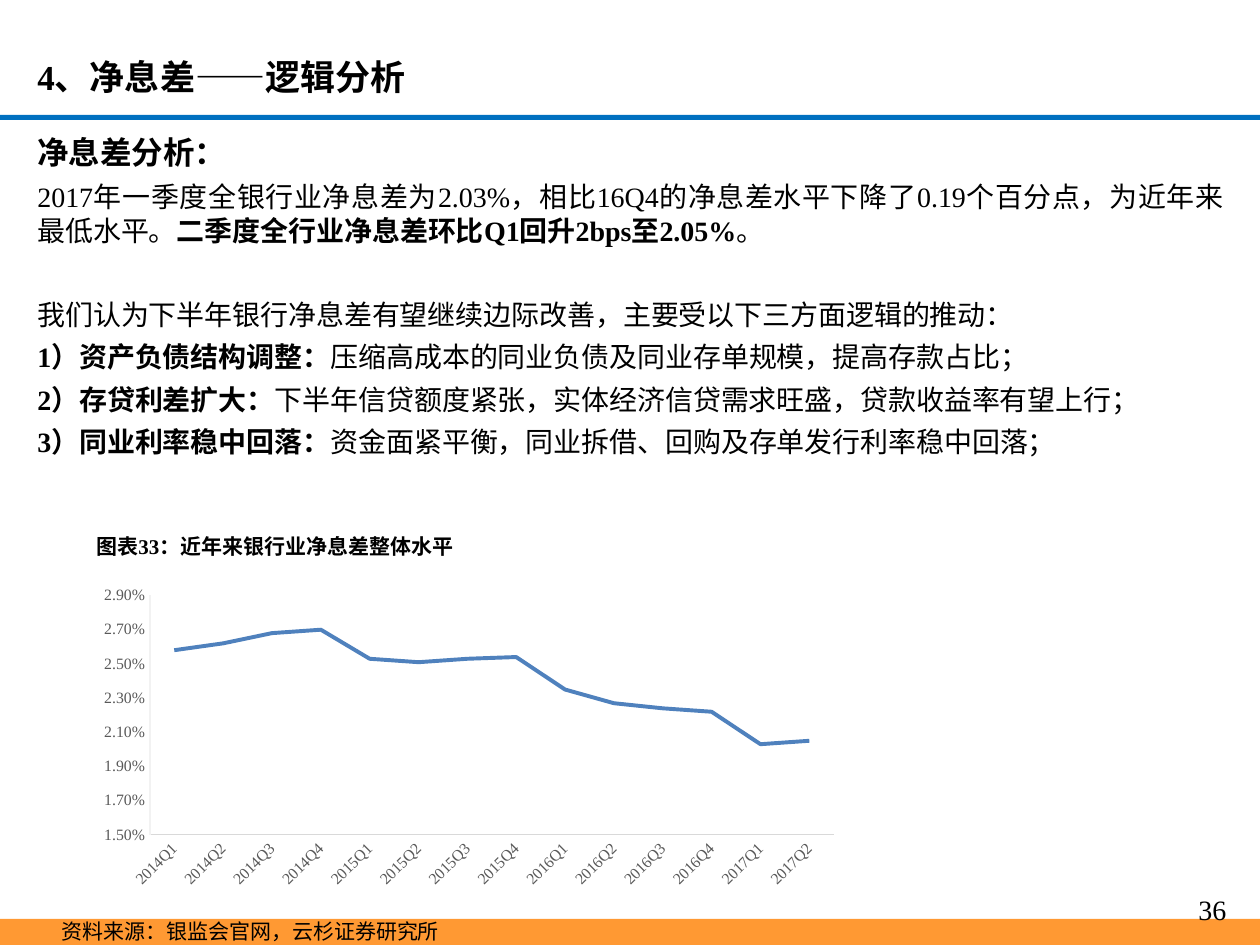
from pptx import Presentation
from pptx.chart.data import CategoryChartData
from pptx.dml.color import RGBColor
from pptx.enum.chart import XL_CHART_TYPE, XL_TICK_MARK
from pptx.enum.shapes import MSO_SHAPE
from pptx.enum.text import MSO_AUTO_SIZE, PP_ALIGN
from pptx.util import Emu, Pt

UNIT = 914400 / 126
FACE = "Times New Roman"
HUES = {
    "ink": "000000", "rule": "0070C0", "foot": "FF9933", "line": "4F81BD",
    "label": "595959", "base": "D9D9D9", "side": "F2F2F2",
}
LEAD = [
    ("2017年一季度全银行业净息差为2.03%，相比16Q4的净息差水平下降了0.19个百分点，为近年来最低水平。", False),
    ("二季度全行业净息差环比Q1回升2bps至2.05%", True),
    ("。", False),
]
VIEW = "我们认为下半年银行净息差有望继续边际改善，主要受以下三方面逻辑的推动："
POINTS = [
    ("1）资产负债结构调整：", "压缩高成本的同业负债及同业存单规模，提高存款占比；"),
    ("2）存贷利差扩大：", "下半年信贷额度紧张，实体经济信贷需求旺盛，贷款收益率有望上行；"),
    ("3）同业利率稳中回落：", "资金面紧平衡，同业拆借、回购及存单发行利率稳中回落；"),
]
RATES = [2.58, 2.62, 2.68, 2.70, 2.53, 2.51, 2.53, 2.54, 2.35, 2.27, 2.24, 2.22, 2.03, 2.05]


def scale(box):
    return [Emu(round(n * UNIT)) for n in box]


def color(name):
    return RGBColor.from_string(HUES[name])


def style(font, size, hue="ink"):
    font.name = FACE
    font.size = Pt(size)
    font.color.rgb = color(hue)


def add_bar(slide, box, hue):
    bar = slide.shapes.add_shape(MSO_SHAPE.RECTANGLE, *scale(box))
    bar.shadow.inherit = False
    bar.fill.solid()
    bar.fill.fore_color.rgb = color(hue)
    bar.line.fill.background()


def add_frame(slide, box, wrap=True):
    frame = slide.shapes.add_textbox(*scale(box)).text_frame
    frame.word_wrap = wrap
    return frame


def add_label(slide, box, text, size, bold=False, wrap=True):
    para = add_frame(slide, box, wrap).paragraphs[0]
    para.text = text
    style(para.font, size)
    para.font.bold = bold


def add_body(slide, box):
    frame = add_frame(slide, box)
    frame.auto_size = MSO_AUTO_SIZE.SHAPE_TO_FIT_TEXT
    rows = [
        (18, 0, [("净息差分析：", True)]),
        (16, 2.5, LEAD),
        (16, 26.5, [(VIEW, False)]),
    ]
    rows += [(16, 2.5, [(head, True), (rest, False)]) for head, rest in POINTS]
    for spot, (size, gap, runs) in enumerate(rows):
        para = frame.add_paragraph() if spot else frame.paragraphs[0]
        para.alignment = PP_ALIGN.JUSTIFY
        para.space_before = Pt(gap)
        para.space_after = Pt(2.5)
        style(para.font, size)
        for text, bold in runs:
            run = para.add_run()
            run.text = text
            run.font.bold = bold


def style_axis(axis, hue):
    axis.has_major_gridlines = False
    axis.major_tick_mark = XL_TICK_MARK.NONE
    axis.minor_tick_mark = XL_TICK_MARK.NONE
    axis.format.line.color.rgb = color(hue)
    axis.format.line.width = Pt(0.75)
    style(axis.tick_labels.font, 9, "label")


def add_trend(slide, box):
    data = CategoryChartData(number_format="0.00%")
    data.categories = [f"{2014 + n // 4}Q{n % 4 + 1}" for n in range(len(RATES))]
    data.add_series("净息差", [round(rate / 100, 4) for rate in RATES])
    chart = slide.shapes.add_chart(XL_CHART_TYPE.LINE, *scale(box), data).chart
    chart.has_title = False
    chart.has_legend = False
    style(chart.font, 10)
    style_axis(chart.category_axis, "base")
    style_axis(chart.value_axis, "side")
    turn = chart.category_axis.tick_labels.font._element.getparent().getparent().getparent()
    turn.bodyPr.set("rot", "-2700000")
    axis = chart.value_axis
    axis.minimum_scale = 0.015
    axis.maximum_scale = 0.029
    axis.major_unit = 0.002
    axis.tick_labels.number_format = "0.00%"
    axis.tick_labels.number_format_is_linked = False
    plot = chart.plots[0]
    plot.vary_by_categories = False
    line = plot.series[0]
    line.smooth = False
    line.format.line.color.rgb = color("line")
    line.format.line.width = Pt(2.25)


def add_head(slide, box):
    left, top, width, height = box
    add_bar(slide, (left, top + height - 5, width, 5), "rule")
    add_label(slide, (left + 25, top + 49, 1052, 58), "4、净息差——逻辑分析", 20, True)


def add_figure(slide, box):
    left, top, width, height = box
    add_label(slide, (left - 5, top, 586, 43), "图表33：近年来银行业净息差整体水平", 12, True)
    add_trend(slide, (left, top + 53, width, height - 53))


def add_foot(slide, box):
    left, top, width, height = box
    add_bar(slide, box, "foot")
    add_label(slide, (left + 49, top - 7, 586, 43), "资料来源：银监会官网，云杉证券研究所", 12)
    add_label(slide, (left + width - 74, top - 33, 54, 47), "36", 16, wrap=False)


def main():
    deck = Presentation()
    deck.slide_width, deck.slide_height = scale((1260, 945))
    slide = deck.slides.add_slide(deck.slide_layouts[6])
    add_foot(slide, (0, 919, 1260, 26))
    add_head(slide, (0, 0, 1260, 120))
    add_body(slide, (25, 127, 1211, 350))
    add_figure(slide, (89, 527, 760, 368))
    deck.save("out.pptx")


if __name__ == "__main__":
    main()
